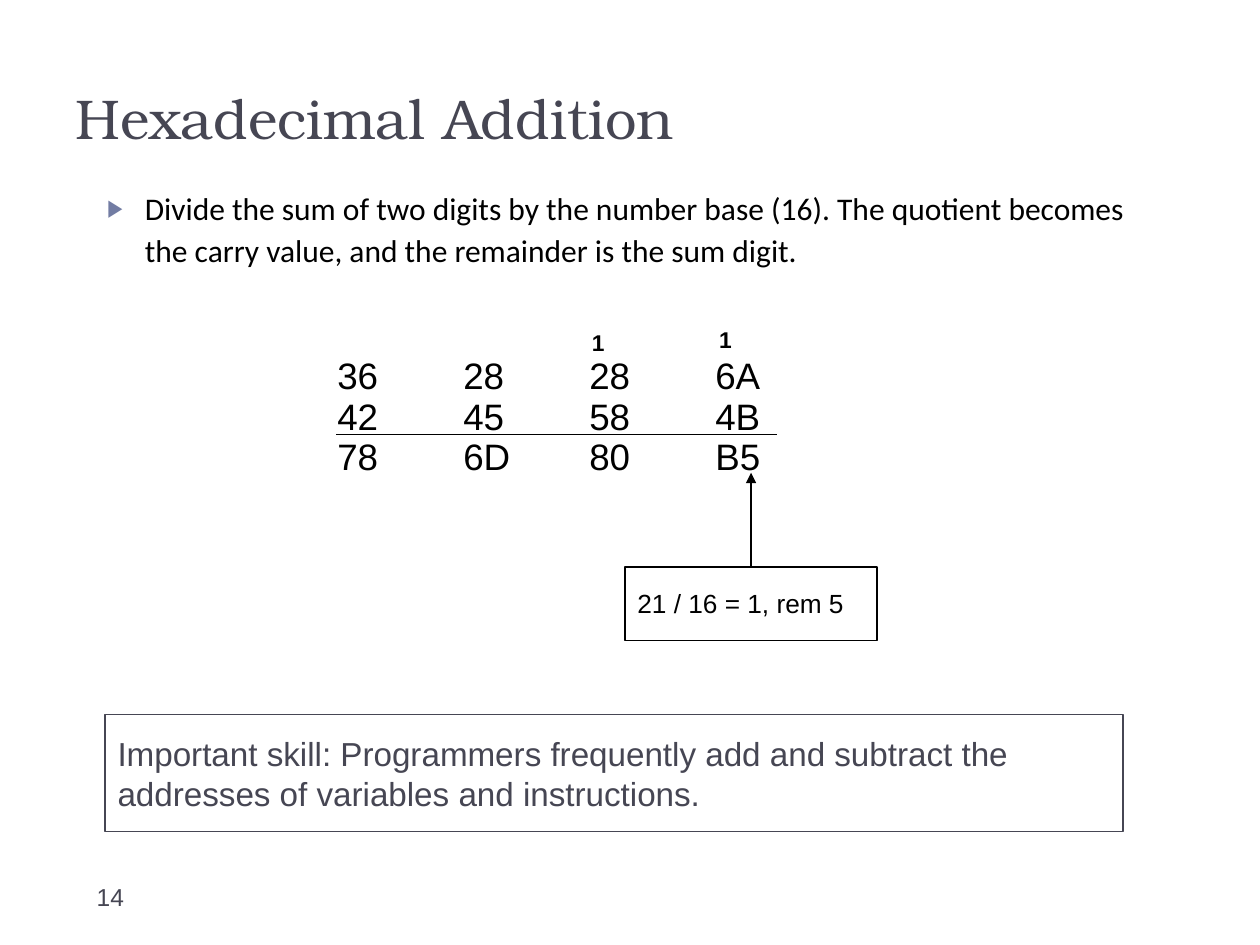
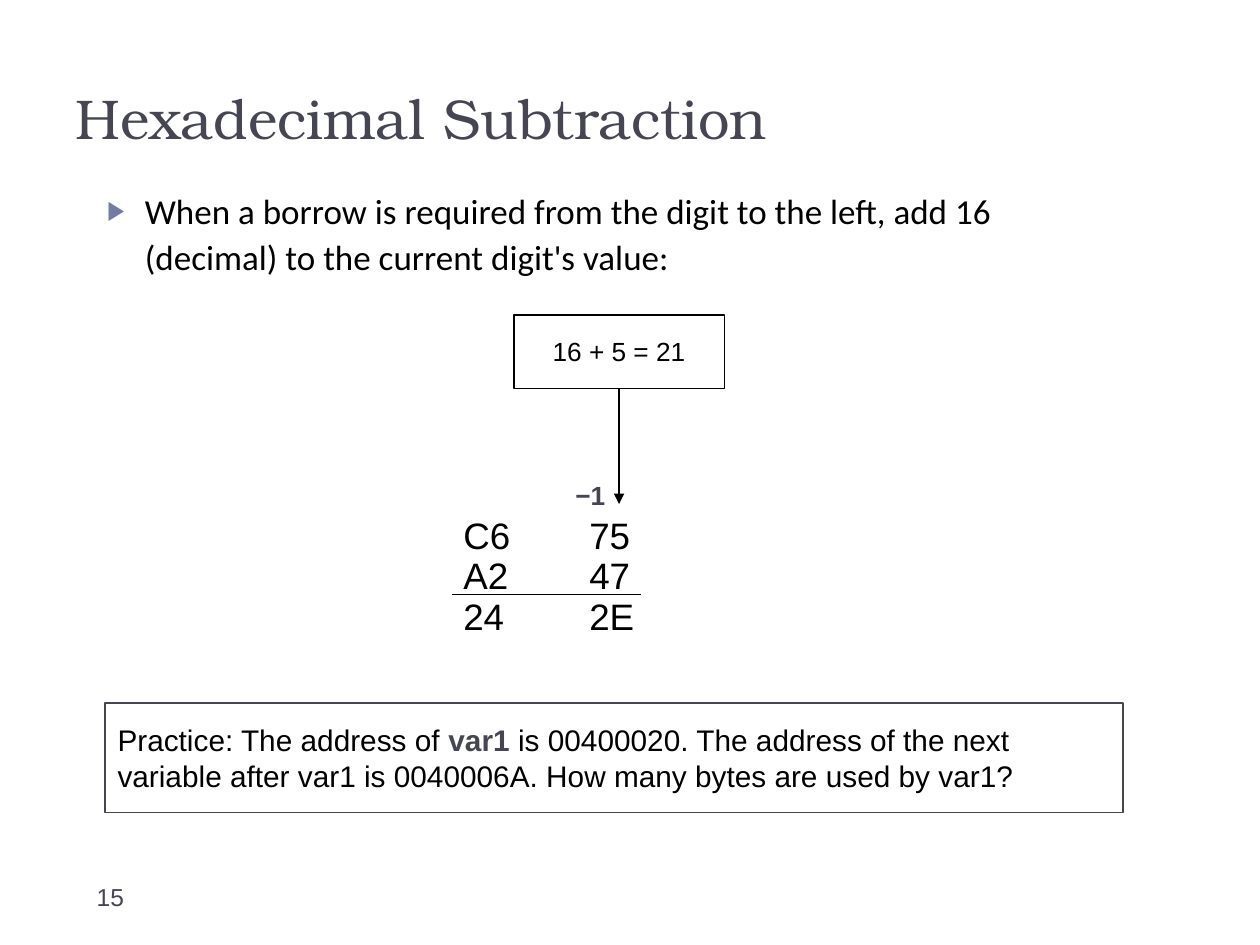
from lxml import etree
from pptx import Presentation
from pptx.dml.color import RGBColor
from pptx.enum.shapes import MSO_CONNECTOR, MSO_SHAPE
from pptx.enum.text import MSO_ANCHOR, MSO_AUTO_SIZE, PP_ALIGN
from pptx.oxml.ns import qn
from pptx.util import Cm, Pt

LINE, RECT = MSO_CONNECTOR.STRAIGHT, MSO_SHAPE.RECTANGLE
TOP, BOTTOM = MSO_ANCHOR.TOP, MSO_ANCHOR.BOTTOM
FIXED, GROW = MSO_AUTO_SIZE.NONE, MSO_AUTO_SIZE.SHAPE_TO_FIT_TEXT
LEFT, CENTER = PP_ALIGN.LEFT, PP_ALIGN.CENTER
COLORS = {"ink": "000000", "slate": "464653", "mark": "727CA3"}
SERIF, SANS, BODY = "TeX Gyre Bonum", "Arial", "Calibri"
TAB = Cm(2.54)

# Positions in cm; text between asterisks is bold slate
PAGES = [
    {
        "title": "Hexadecimal Addition",
        "number": "14",
        "body": ("Divide the sum of two digits by the number base (16). The quotient "
                 "becomes the carry value, and the remainder is the sum digit."),
        "body_box": (1.91, 3.61, 21.8, 3.38), "body_size": 18,
        "sums": "36\t28\t28\t6A\n42\t45\t58\t4B\n78\t6D\t80\tB5",
        "sums_box": (6.55, 7.19, 10.8, 2.77),
        "rule": (6.78, 15.67, 8.76),
        "carries": [("1", (14.25, 6.3, 0.79, 1.32)), ("1", (11.68, 6.35, 0.79, 1.32))],
        "carry_style": (13, "ink", 8.1),
        "calc": "21 / 16 = 1, rem 5", "calc_box": (12.6, 11.43, 5.08, 1.48),
        "calc_align": LEFT, "side": 0, "tip": 9.53,
        "note": ("Important skill: Programmers frequently add and subtract the "
                 "addresses of variables and instructions."),
        "note_box": (2.12, 14.4, 20.52, 2.36), "note_style": (19, "slate", 11.9),
    },
    {
        "title": "Hexadecimal Subtraction",
        "number": "15",
        "body": ("When a borrow is required from the digit to the left, add 16 "
                 "(decimal) to the current digit's value:"),
        "body_box": (1.91, 3.61, 19.69, 2.11), "body_size": 20,
        "sums": "C6\t75\nA2\t47\n24\t2E",
        "sums_box": (9.09, 10.41, 4.88, 2.77),
        "rule": (9.12, 12.93, 11.99),
        "carries": [("−1", (11.35, 9.35, 1.47, 1.4))],
        "carry_style": (15, "slate", 9.4),
        "calc": "16 + 5 = 21", "calc_box": (10.36, 6.35, 4.24, 1.48),
        "calc_align": CENTER, "side": 2, "tip": 10.16,
        "note": ("Practice: The address of *var1* is 00400020. The address of the next "
                 "variable after var1 is 0040006A. How many bytes are used by var1?"),
        "note_box": (2.12, 14.17, 20.52, 2.21), "note_style": (17, "ink", 10.6),
    },
]


def write(shape, box, text, size, tint, before=0, font=SANS, space=1.0,
          bold=False, align=LEFT, pad=0.38, fit=GROW, anchor=TOP):
    """Place a shape and fill it with styled paragraphs."""
    shape.left, shape.top, shape.width, shape.height = [Cm(v) for v in box]
    frame = shape.text_frame
    frame.word_wrap, frame.auto_size, frame.vertical_anchor = True, fit, anchor
    frame.margin_left = frame.margin_right = Cm(0.25)
    frame.margin_top = frame.margin_bottom = Cm(pad)
    frame.text = text.replace("*", "")
    for para, line in zip(frame.paragraphs, text.split("\n")):
        para.alignment, para.line_spacing = align, space
        para.space_before, para.space_after = Pt(before), Pt(0)
        parts = line.split("*")
        para.runs[0].text = parts[0]
        for part in parts[1:]:
            para.add_run().text = part
        for i, run in enumerate(para.runs):
            key = i % 2 == 1
            run.font.name, run.font.size = font, Pt(size)
            run.font.bold = bold or key
            run.font.color.rgb = RGBColor.from_string(COLORS["slate" if key else tint])


def draw(slide, x1, y1, x2, y2):
    """Add a thin black line without a shadow."""
    line = slide.shapes.add_connector(LINE, Cm(x1), Cm(y1), Cm(x2), Cm(y2))
    line.line.color.rgb = RGBColor.from_string(COLORS["ink"])
    line.line.width = Pt(0.75)
    etree.SubElement(line._element.spPr, qn("a:effectLst"))
    return line


deck = Presentation()
deck.slide_width, deck.slide_height = Cm(25.4), Cm(19.05)

for page in PAGES:
    slide = deck.slides.add_slide(deck.slide_layouts[1])
    shapes = slide.shapes

    # Title and page number
    write(shapes.title, (1.27, 0.43, 22.86, 2.74), page["title"], 32, "slate",
          font=SERIF, pad=0.13, fit=FIXED, anchor=BOTTOM)
    write(shapes.add_textbox(0, 0, 0, 0), (1.7, 17.65, 5.5, 1.02), page["number"],
          14, "slate", pad=0.13, fit=FIXED)

    # Bulleted rule
    body = slide.placeholders[1]
    write(body, page["body_box"], page["body"], page["body_size"], "ink", 6,
          font=BODY, space=1.1, pad=0.13, fit=FIXED)
    props = body.text_frame.paragraphs[0]._p.get_or_add_pPr()
    props.set("marL", str(Cm(0.76)))
    props.set("indent", str(-Cm(0.76)))
    tint = etree.SubElement(props, qn("a:buClr"))
    etree.SubElement(tint, qn("a:srgbClr"), val=COLORS["mark"])
    etree.SubElement(props, qn("a:buSzPct"), val="76000")
    etree.SubElement(props, qn("a:buFont"), typeface=SANS)
    etree.SubElement(props, qn("a:buChar"), char="▶")

    # Columns of digits with the sum line
    sums = shapes.add_textbox(0, 0, 0, 0)
    write(sums, page["sums_box"], page["sums"], 21, "ink", 13.1, space=0.4)
    for para in sums.text_frame.paragraphs:
        tabs = etree.SubElement(para._p.get_or_add_pPr(), qn("a:tabLst"))
        for i in range(1, 4):
            etree.SubElement(tabs, qn("a:tab"), pos=str(i * TAB), algn="l")
    start, end, level = page["rule"]
    draw(slide, start, level, end, level)

    # Carried or borrowed digits
    size, tone, before = page["carry_style"]
    for digit, box in page["carries"]:
        write(shapes.add_textbox(0, 0, 0, 0), box, digit, size, tone, before, bold=True)

    # Framed working and note
    calc, note = [shapes.add_shape(RECT, 0, 0, 0, 0) for _ in range(2)]
    write(calc, page["calc_box"], page["calc"], 15, "ink", 9.4, space=1.1,
          align=page["calc_align"])
    size, tone, before = page["note_style"]
    write(note, page["note_box"], page["note"], size, tone, before)
    for frame, edge in ((calc, "ink"), (note, "slate")):
        frame.shadow.inherit = False
        frame.fill.background()
        frame.line.color.rgb = RGBColor.from_string(COLORS[edge])
        frame.line.width = Pt(0.75)

    # Arrow from the working to its digit
    left, top, width, height = page["calc_box"]
    mid = left + width / 2
    arrow = draw(slide, mid, top, mid, page["tip"])
    arrow.begin_connect(calc, page["side"])
    etree.SubElement(arrow.line._get_or_add_ln(), qn("a:tailEnd"), type="triangle")

deck.save("out.pptx")
